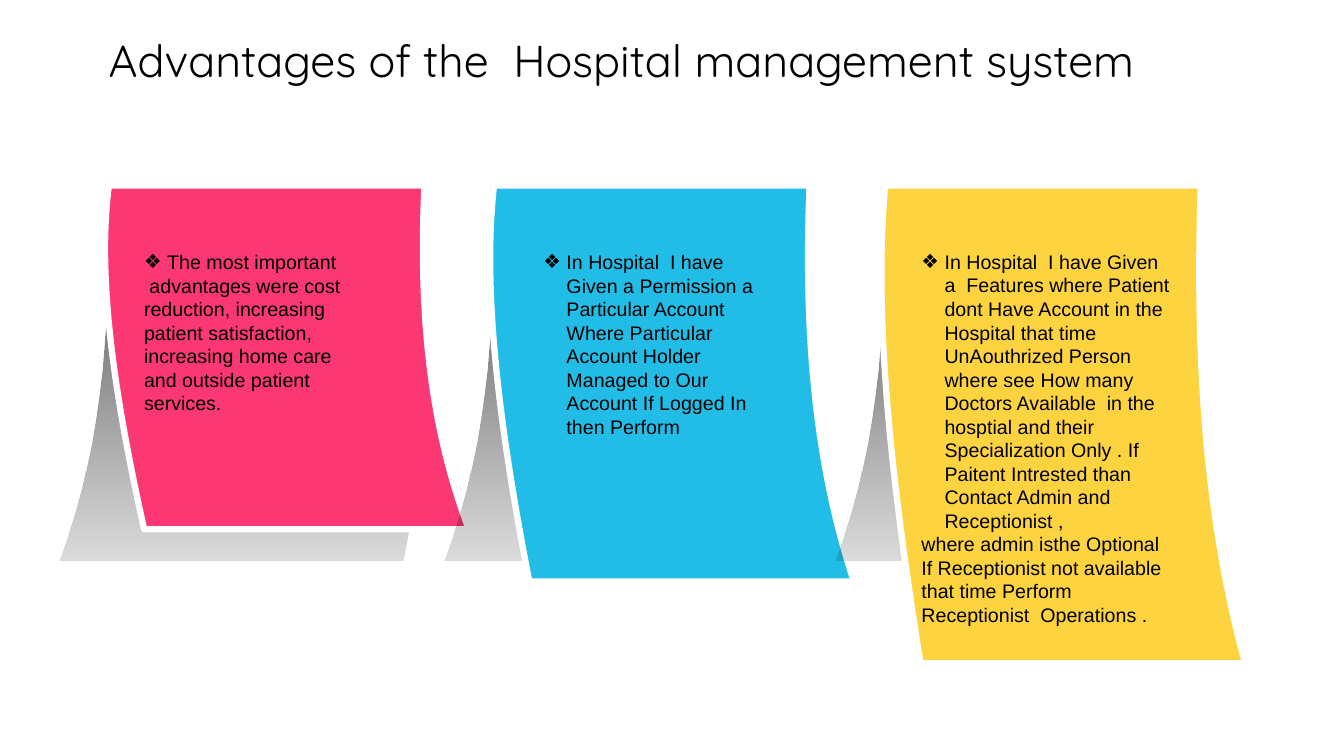
from lxml import etree
from pptx import Presentation
from pptx.dml.color import RGBColor
from pptx.oxml.ns import qn
from pptx.util import Inches, Pt

BLACK, WHITE = "000000", "FFFFFF"
CARD_TOP, CARD_WIDTH = 1.84, 3.61
SHADOW_OFFSET, SHADOW_WIDTH, SHADOW_HEIGHT = 0.45, 3.62, 3.72

# card left, card height, colour, text left, text width, text height, paragraphs (text, bulleted)
CARDS = [
    (1.04, 3.41, "FB3874", 1.33, 2.41, 1.75, [
        ("The most important", True),
        (" advantages were cost reduction, increasing patient satisfaction, "
         "increasing home care and outside patient services.", False)]),
    (4.86, 3.93, "21BDE6", 5.29, 2.41, 1.51, [
        ("In Hospital  I have Given a Permission a Particular Account Where "
         "Particular Account Holder Managed to Our Account If Logged In then Perform", True)]),
    (8.74, 4.74, "FDD33F", 9.04, 2.71, 3.63, [
        ("In Hospital  I have Given a  Features where Patient dont Have Account in the "
         "Hospital that time UnAouthrized Person where see How many Doctors Available  "
         "in the hosptial and their Specialization Only . If Paitent Intrested than "
         "Contact Admin and Receptionist ,", True),
        ("where admin isthe Optional If Receptionist not available that time Perform "
         "Receptionist  Operations .", False)]),
]


def rgb(color):
    return RGBColor.from_string(color)


def add_outline(slide, x, y, w, h, segments):
    """Closed freeform filling the box; a segment of three points is a Bezier curve."""
    left, top, right, bottom = Inches(x), Inches(y), Inches(x + w), Inches(y + h)
    builder = slide.shapes.build_freeform(left, top)
    builder.add_line_segments([(right, top), (right, bottom), (left, bottom)], close=True)
    sp = builder.convert_to_shape()
    sp.shadow.inherit = False
    outline = next(sp._element.iter(qn("a:path")))
    for child in list(outline):
        outline.remove(child)
    for i, points in enumerate(segments):
        tag = "a:moveTo" if i == 0 else "a:cubicBezTo" if len(points) == 3 else "a:lnTo"
        step = etree.SubElement(outline, qn(tag))
        for px, py in points:
            etree.SubElement(step, qn("a:pt"), x=str(Inches(px)), y=str(Inches(py)))
    etree.SubElement(outline, qn("a:close"))
    return sp


def add_bullet(p, indent=0.23):
    pPr = p._p.get_or_add_pPr()
    pPr.set("marL", str(Inches(indent)))
    pPr.set("indent", str(-Inches(indent)))
    color = etree.SubElement(pPr, qn("a:buClr"))
    etree.SubElement(color, qn("a:srgbClr"), val=BLACK)
    etree.SubElement(pPr, qn("a:buFont"), typeface="Arial")
    etree.SubElement(pPr, qn("a:buChar"), char="❖")


def add_text(slide, x, y, w, h, paragraphs, size=14, font="Arial", color=BLACK):
    tf = slide.shapes.add_textbox(Inches(x), Inches(y), Inches(w), Inches(h)).text_frame
    tf.word_wrap = True
    for i, (text, bulleted) in enumerate(paragraphs):
        p = tf.add_paragraph() if i else tf.paragraphs[0]
        if bulleted:
            add_bullet(p)
        r = p.add_run()
        r.text = text
        r.font.size = Pt(size)
        r.font.name = font
        r.font.color.rgb = rgb(color)


def add_card_shadow(slide, x, y):
    sp = add_outline(slide, x, y, SHADOW_WIDTH, SHADOW_HEIGHT, [
        [(3.59, 0.03)],
        [(0.46, 0)],
        [(0.52, 1.19), (0.46, 2.49), (0, SHADOW_HEIGHT)],
        [(3.4, SHADOW_HEIGHT)],
        [(3.66, 2.44), (3.63, 1.06), (3.59, 0.03)]])
    sp.line.fill.background()
    sp.fill.gradient()
    sp.fill.gradient_angle = 270
    for stop, position, opacity in zip(sp.fill.gradient_stops, (0, 1), (74, 14)):
        stop.position = position
        stop.color.rgb = rgb(BLACK)
        clr = stop._gs.find(qn("a:srgbClr"))
        etree.SubElement(clr, qn("a:alpha"), val=str(opacity * 1000))


def add_card(slide, x, y, h, color):
    sp = add_outline(slide, x, y, CARD_WIDTH, h, [
        [(0.04, 0)],
        [(3.17, 0)],
        [(3.12, 0.32 * h), (3.18, 0.67 * h), (CARD_WIDTH, h)],
        [(0.39, h)],
        [(0.13, 0.66 * h), (-0.09, 0.285 * h), (0.04, 0)]])
    sp.fill.solid()
    sp.fill.fore_color.rgb = rgb(color)
    sp.line.color.rgb = rgb(WHITE)
    sp.line.width = Pt(4.5)


def build_advantages_slide(prs):
    slide = prs.slides.add_slide(prs.slide_layouts[6])
    for x, h, color, *_ in CARDS:
        add_card_shadow(slide, x - SHADOW_OFFSET, CARD_TOP)
        add_card(slide, x, CARD_TOP, h, color)
    for _, _, _, x, w, h, paragraphs in CARDS:
        add_text(slide, x, 2.43, w, h, paragraphs)
    add_text(slide, 0.98, 0.28, 11.69, 0.64,
             [("Advantages of the  Hospital management system", False)],
             size=32, font="Quicksand")


def main():
    prs = Presentation()
    prs.slide_width, prs.slide_height = Inches(13.33), Inches(7.5)
    build_advantages_slide(prs)
    prs.save("out.pptx")


if __name__ == "__main__":
    main()
